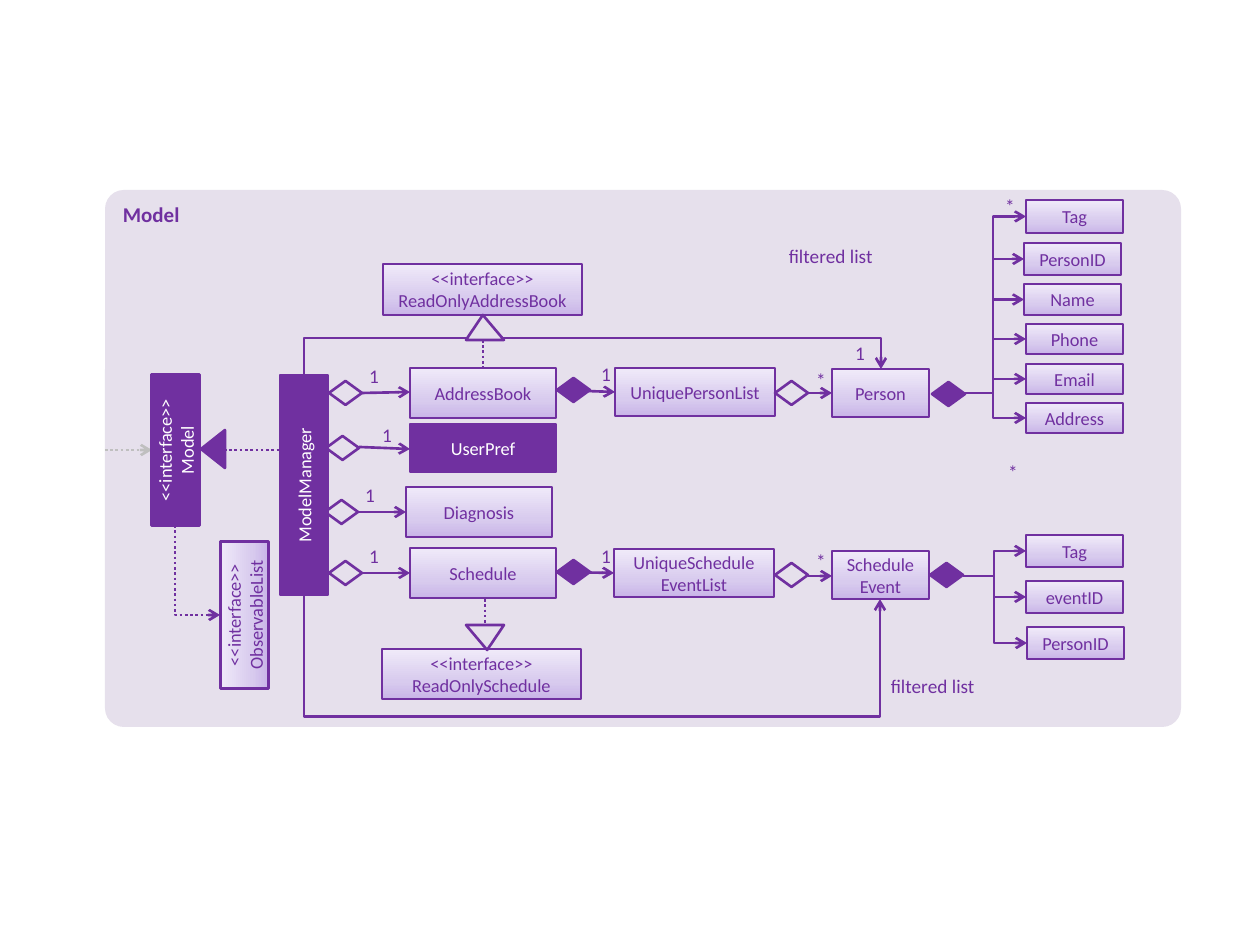
from copy import deepcopy
from pptx import Presentation
from pptx.dml.color import RGBColor
from pptx.enum.dml import MSO_LINE as Dash
from pptx.enum.shapes import MSO_CONNECTOR as Link, MSO_SHAPE as Form
from pptx.enum.text import MSO_ANCHOR as Anchor, PP_ALIGN as Align
from pptx.oxml.ns import qn
from pptx.oxml.xmlchemy import OxmlElement as Node
from pptx.util import Pt

PX = 914400 / 126
DARK, PALE, WHITE, GREY = "7030A0", "E6E0EC", "FFFFFF", "BFBFBF"
FADE = [(0, "C9B5E8"), (0.35, "D8CBEE"), (1, "F0EAF9")]
hue = RGBColor.from_string

deck = Presentation()
deck.slide_width, deck.slide_height = round(1260 * PX), round(945 * PX)
slide = deck.slides.add_slide(deck.slide_layouts[6])


def put(form, box, fill=None, text="", tint=DARK, size=10.5, turn=0, edge=DARK,
        bold=None, align=Align.CENTER, anchor=Anchor.MIDDLE, pad=None):
    box = [round(n * PX) for n in box]
    if form is None:
        shape = slide.shapes.add_textbox(*box)
    else:
        shape = slide.shapes.add_shape(form, *box)
        shape.shadow.inherit = False
        if fill == "fade":
            shape.fill.gradient()
            shape.fill.gradient_angle = 90
            stops = shape._element.spPr.find(qn("a:gradFill")).find(qn("a:gsLst"))
            stops.append(deepcopy(stops[-1]))
            for stop, (spot, tone) in zip(shape.fill.gradient_stops, FADE):
                stop.position, stop.color.rgb = spot, hue(tone)
        elif fill:
            shape.fill.solid()
            shape.fill.fore_color.rgb = hue(fill)
        else:
            shape.fill.background()
        if edge:
            shape.line.color.rgb, shape.line.width = hue(edge), Pt(1.5)
        else:
            shape.line.fill.background()
    shape.rotation = turn
    if text:
        frame = shape.text_frame
        frame.text, frame.word_wrap, frame.vertical_anchor = text, True, anchor
        if pad is not None:
            for side in ("left", "right", "top", "bottom"):
                setattr(frame, "margin_" + side, pad)
        for para in frame.paragraphs:
            para.alignment = align
            para.font.color.rgb = hue(tint)
            for run in para.runs:
                run.font.color.rgb = hue(tint)
                for key, val in dict(name="Calibri", size=Pt(size), bold=bold).items():
                    setattr(run.font, key, val)
    return shape


def wire(x1, y1, x2, y2, bend=None, mid=None, down=False, dash=None, tip=True, tint=DARK):
    span = (y2 - y1) if down else (x2 - x1)
    first = y1 if down else x1
    if down and bend:
        cx, cy, dx, dy = (x1 + x2) / 2, (y1 + y2) / 2, (x2 - x1) / 2, (y2 - y1) / 2
        x1, y1, x2, y2 = cx - dy, cy + dx, cx + dy, cy - dx
    kind = Link.ELBOW if bend else Link.STRAIGHT
    line = slide.shapes.add_connector(kind, *[round(n * PX) for n in (x1, y1, x2, y2)])
    props = line._element.spPr
    if bend:
        geom = props.find(qn("a:prstGeom"))
        geom.set("prst", bend)
        if down:
            props.find(qn("a:xfrm")).set("rot", "5400000")
        if mid is not None:
            guide = Node("a:gd")
            guide.set("name", "adj1")
            guide.set("fmla", f"val {round((mid - first) / span * 100000)}")
            geom.find(qn("a:avLst")).append(guide)
    line.line.color.rgb, line.line.width = hue(tint), Pt(1.5)
    if dash:
        line.line.dash_style = dash
    if tip:
        tail = Node("a:tailEnd")
        tail.set("type", "arrow")
        props.find(qn("a:ln")).append(tail)
    props.append(Node("a:effectLst"))


panel = put(Form.ROUNDED_RECTANGLE, (105, 190, 1076, 537), PALE, "Model", size=12,
            bold=True, edge=None, align=Align.LEFT, anchor=Anchor.TOP)
panel.adjustments[0] = 0.035

DOTS = Dash.ROUND_DOT
wire(304, 375, 881, 369, "bentConnector3", 338, True)
wire(304, 595, 880, 599, "bentConnector3", 716, True)
wire(105, 450, 152, 450, dash=DOTS, tint=GREY)
wire(224, 450, 281, 450, dash=DOTS, tip=False)
wire(175, 525, 220, 615, "bentConnector2", down=True, dash=DOTS)
wire(483, 340, 483, 368, dash=DOTS, tip=False)
wire(485, 599, 485, 626, dash=DOTS, tip=False)
for line in [(362, 393, 410, 392), (359, 447, 410, 449), (358, 512, 406, 512),
             (362, 573, 410, 573), (557, 390, 615, 392), (557, 572, 614, 573),
             (808, 393, 832, 393), (808, 576, 832, 576)]:
    wire(*line)

people = [("Tag", 1026, 200, 33), ("PersonID", 1024, 243, 32), ("Name", 1024, 284, 31),
          ("Phone", 1026, 324, 30), ("Email", 1026, 364, 30), ("Address", 1026, 403, 30)]
events = [("Tag", 1026, 535, 32), ("eventID", 1026, 581, 32), ("PersonID", 1027, 627, 32)]
for hub, left, mid, parts in [(393, 964, 993, people), (576, 963, 994, events)]:
    for name, x, y, high in parts:
        wire(left, hub, x, y + high / 2, "bentConnector3", mid)
        put(Form.RECTANGLE, (x, y, 97, high), "fade", name)

for name, box, fill, turn in [
    ("UserPref", (410, 424, 146, 48), DARK, 0),
    ("ModelManager", (194, 461, 220, 48), DARK, 270),
    ("<<interface>>\nModel", (100, 426, 151, 48), DARK, 270),
    ("<<interface>>\vObservableList", (171, 591, 147, 48), "fade", 270),
    ("<<interface>>\vReadOnlyAddressBook", (383, 264, 199, 51), "fade", 0),
    ("<<interface>>\vReadOnlySchedule", (382, 649, 199, 50), "fade", 0),
    ("AddressBook", (410, 368, 146, 50), "fade", 0),
    ("Diagnosis", (406, 487, 146, 50), "fade", 0),
    ("Schedule", (410, 548, 146, 50), "fade", 0),
    ("UniquePersonList", (615, 368, 160, 48), "fade", 0),
    ("UniqueSchedule\nEventList", (614, 549, 160, 48), "fade", 0),
    ("Person", (832, 369, 97, 48), "fade", 0),
    ("ScheduleEvent", (832, 551, 97, 48), "fade", 0),
]:
    put(Form.RECTANGLE, box, fill, name, WHITE if fill == DARK else DARK, turn=turn)

for x, y, fill in [(329, 381, None), (326, 436, None), (325, 500, None), (329, 561, None),
                   (775, 381, None), (775, 563, None), (557, 378, DARK), (557, 560, DARK),
                   (932, 382, DARK), (930, 563, DARK)]:
    put(Form.FLOWCHART_DECISION, (x, y, 33, 24), fill)

put(Form.ISOSCELES_TRIANGLE, (194, 437, 38, 24), DARK, turn=270)
for y, turn in [(315, 0), (625, 180)]:
    peak = put(Form.ISOSCELES_TRIANGLE, (466, y, 38, 25), PALE, turn=turn)
    peak.adjustments[0] = 0.445

for text, x, y, wide in [("1", 362, 364, 24), ("1", 374, 423, 26), ("1", 358, 483, 24),
                         ("1", 362, 544, 24), ("1", 593, 362, 26), ("1", 593, 544, 26),
                         ("1", 847, 341, 26), ("*", 808, 368, 26), ("*", 808, 549, 26),
                         ("*", 997, 194, 26), ("*", 1000, 460, 26)]:
    put(None, (x, y, wide, 25), text=text, size=11, anchor=Anchor.TOP, pad=0)
for x, y in [(764, 238), (866, 668)]:
    put(None, (x, y, 121, 36), text="filtered list", size=11, align=Align.RIGHT, anchor=Anchor.TOP)

deck.save("out.pptx")
